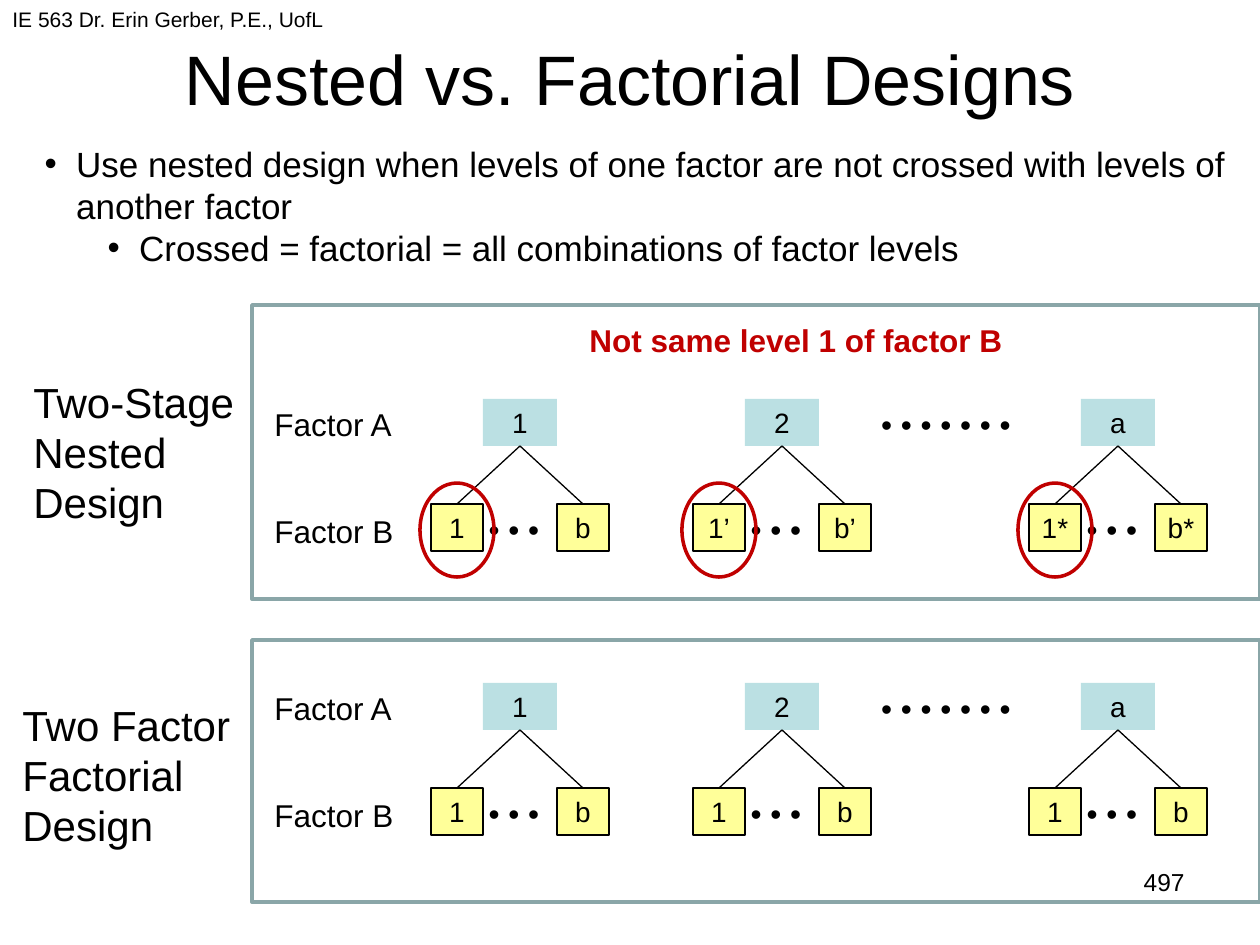
"""Build a slide comparing nested and factorial designs with tree diagrams."""
from lxml import etree
from pptx import Presentation
from pptx import util as u
from pptx.dml.color import RGBColor
from pptx.enum import shapes, text
from pptx.oxml.ns import qn

TITLE = "Nested vs. Factorial Designs"
COURSE = "IE 563 Dr. Erin Gerber, P.E., UofL"
PAGE_NUMBER = "497"
WARNING = "Not same level 1 of factor B"
BULLETS = [
    (0, "Use nested design when levels of one factor are not crossed with levels of another factor"),
    (1, "Crossed = factorial = all combinations of factor levels"),
]
DESIGNS = [
    {"name": "Two-Stage Nested Design", "name_at": (21, 370), "panel": (305, 294), "top": 399,
     "circled": True, "trees": [("1", "1", "b"), ("2", "1’", "b’"), ("a", "1*", "b*")]},
    {"name": "Two Factor Factorial Design", "name_at": (10, 693), "panel": (640, 262), "top": 683,
     "circled": False, "trees": [("1", "1", "b"), ("2", "1", "b"), ("a", "1", "b")]},
]
COLORS = {"ink": "000000", "factor_a": "BBE0E3", "factor_b": "FFFF99",
          "red": "C00000", "panel": "8AA6A8"}
FONT = "Arial"
PX = 914400 / 126
CENTERS = (520, 782, 1118)
BRANCH = 63
DROP = 105
BOX_HEIGHT = 47
ALIGN = text.PP_ALIGN
SHAPE = shapes.MSO_SHAPE


def px(value):
    return u.Emu(round(value * PX))


def color(name):
    return RGBColor.from_string(COLORS[name])


def write(para, words, size, tint="ink", bold=False, align=ALIGN.LEFT):
    para.alignment = align
    span = para.add_run()
    span.text = words
    span.font.name = FONT
    span.font.size = u.Pt(size)
    span.font.bold = bold
    span.font.color.rgb = color(tint)


def place(holder, left, top, width, height):
    holder.left, holder.top = px(left), px(top)
    holder.width, holder.height = px(width), px(height)


def add_label(page, area, words, size, **style):
    box = page.shapes.add_textbox(*map(px, area))
    box.text_frame.word_wrap = True
    write(box.text_frame.paragraphs[0], words, size, **style)


def add_figure(page, kind, area, fill=None, line=None, weight=0.75):
    figure = page.shapes.add_shape(kind, *map(px, area))
    figure.shadow.inherit = False
    if fill:
        figure.fill.solid()
        figure.fill.fore_color.rgb = color(fill)
    else:
        figure.fill.background()
    if line:
        figure.line.color.rgb = color(line)
        figure.line.width = u.Pt(weight)
    else:
        figure.line.fill.background()
    return figure


def add_level(page, center, top, width, words, fill, line=None):
    box = add_figure(page, SHAPE.RECTANGLE, (center - width / 2, top, width, BOX_HEIGHT), fill, line)
    frame = box.text_frame
    frame.margin_left = frame.margin_right = 0
    frame.vertical_anchor = text.MSO_ANCHOR.MIDDLE
    write(frame.paragraphs[0], words, 16, align=ALIGN.CENTER)
    return box


def add_branch(page, child, parent):
    branch = page.shapes.add_connector(shapes.MSO_CONNECTOR.STRAIGHT, 0, 0, 0, 0)
    branch.begin_connect(child, 0)
    branch.end_connect(parent, 2)
    branch.line.color.rgb = color("ink")
    branch.line.width = u.Pt(0.75)
    etree.SubElement(branch._element.spPr, qn("a:effectLst"))


def add_tree(page, center, top, levels, circled):
    parent = add_level(page, center, top, 74, levels[0], "factor_a")
    for side, words in zip((-1, 1), levels[1:]):
        child = add_level(page, center + side * BRANCH, top + DROP, 52, words, "factor_b", "ink")
        add_branch(page, child, parent)
    add_label(page, (center - 69, top + DROP, 126, 53), "• • •", 18, align=ALIGN.CENTER)
    if circled:
        add_figure(page, SHAPE.OVAL, (center - BRANCH - 37, top + DROP - 21, 74, 94),
                   line="red", weight=2)


def add_design(page, design):
    top = design["top"]
    for words, offset in (("Factor A", 0), ("Factor B", DROP + 2)):
        add_label(page, (262, top + offset, 147, 50), words, 18)
    for center, levels in zip(CENTERS, design["trees"]):
        add_tree(page, center, top, levels, design["circled"])
    add_label(page, (857, top, 178, 53), "• • • • • • •", 18, align=ALIGN.CENTER)
    panel_top, panel_height = design["panel"]
    add_figure(page, SHAPE.RECTANGLE, (252, panel_top, 1008, panel_height), line="panel", weight=2)
    add_label(page, (*design["name_at"], 252, 165), design["name"], 24)


def fill_bullets(body):
    frame = body.text_frame
    frame.auto_size = text.MSO_AUTO_SIZE.NONE
    for index, (level, words) in enumerate(BULLETS):
        para = frame.add_paragraph() if index else frame.paragraphs[0]
        para.level = level
        para.space_before = u.Pt(0)
        props = para._p.get_or_add_pPr()
        props.set("marL", str(u.Inches(0.25 + 0.5 * level)))
        props.set("indent", str(u.Inches(-0.25)))
        etree.SubElement(props, qn("a:buFont"), typeface=FONT)
        etree.SubElement(props, qn("a:buChar"), char="•")
        write(para, words, 20)


def main():
    deck = Presentation()
    deck.slide_width, deck.slide_height = px(1260), px(945)
    page = deck.slides.add_slide(deck.slide_layouts[1])
    title, body = page.placeholders
    place(title, 94, -24, 1072, 203)
    title.text_frame.auto_size = text.MSO_AUTO_SIZE.NONE
    title.text_frame.vertical_anchor = text.MSO_ANCHOR.MIDDLE
    write(title.text_frame.paragraphs[0], TITLE, 40, align=ALIGN.CENTER)
    place(body, 32, 136, 1218, 267)
    fill_bullets(body)
    add_label(page, (0, 0, 525, 66), COURSE, 12)
    for design in DESIGNS:
        add_design(page, design)
    add_label(page, (577, 315, 557, 50), WARNING, 18, tint="red", bold=True)
    add_label(page, (903, 861, 294, 66), PAGE_NUMBER, 14, align=ALIGN.RIGHT)
    deck.save("out.pptx")


if __name__ == "__main__":
    main()
